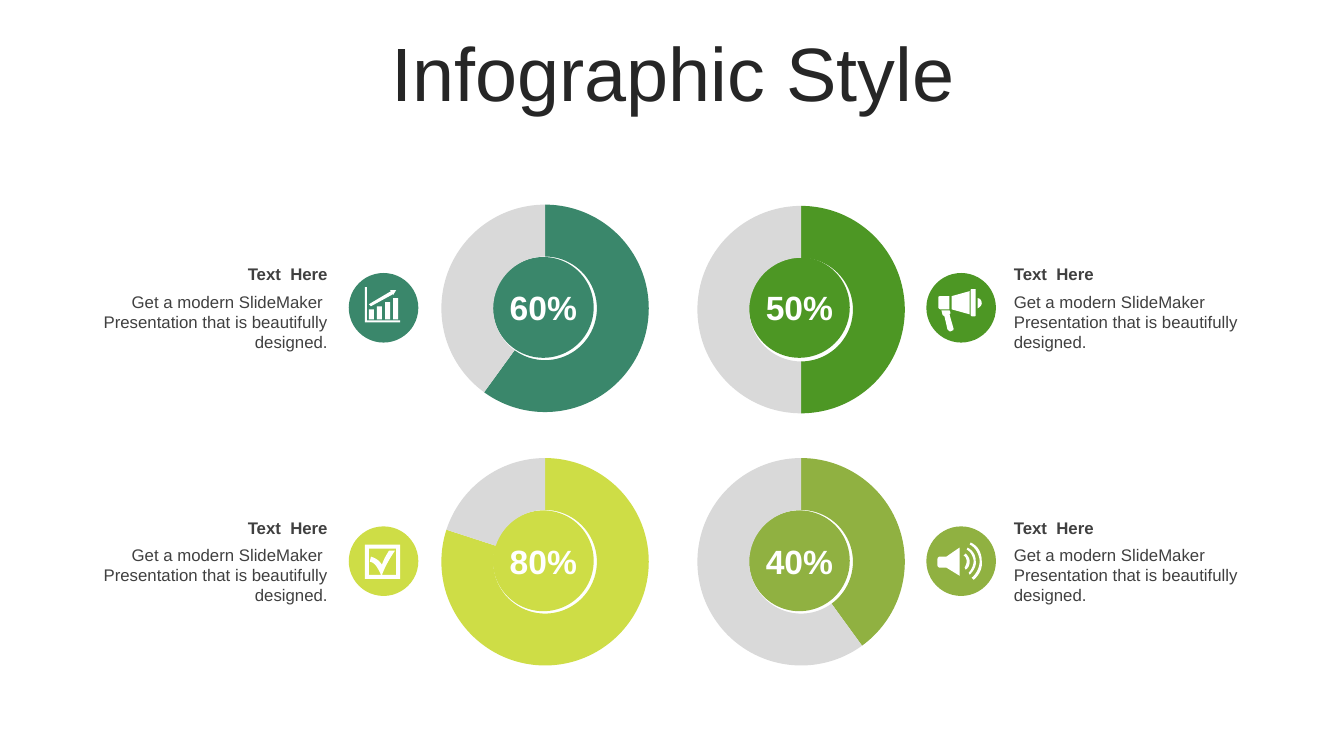
import pptx
import pptx.chart.data
import pptx.dml.color
import pptx.enum.chart
import pptx.enum.shapes
import pptx.enum.text
import pptx.oxml
import pptx.util

Pt = pptx.util.Pt
ALIGN = pptx.enum.text.PP_ALIGN
MIDDLE = pptx.enum.text.MSO_ANCHOR.MIDDLE
FONT, DARK, BODY, WHITE, GREY = "Arial", "262626", "404040", "FFFFFF", "D9D9D9"

TITLE = "Infographic Style"
HEADING = "Text  Here"
DESCRIPTION = "Get a modern SlideMaker  Presentation that is beautifully designed."


def box(left, top, right, bottom):
    return [(left, top), (right, top), (right, bottom), (left, bottom)]


# Icon outlines on a grid from the corner of the badge: pairs are corners,
# sixes are cubic curves (two control points and an end point).
GRID = 0.72
BAR_CHART = [
    *[box(20 + 8 * i, top, 25 + 8 * i, 46) for i, top in enumerate((36, 33, 29, 25))],
    [(41, 17), (47, 17), (44, 22), (44, 21), (22, 33), (20, 31), (42, 18)],
    [(16, 14), (18, 14), (18, 47), (51, 47), (51, 49), (16, 49)],
]
CHECK_BOX = [
    [(20, 22), (20, 48), (32, 48), (30, 44, 27, 36, 21, 35), (22, 30),
     (28, 32, 30, 34, 33, 38), (35, 32, 37, 29, 40, 24), (46, 24),
     (41, 31, 36, 40, 33, 48), (47, 48), (47, 22)],
    box(16, 18, 51, 52),
]
MEGAPHONE = [
    [(23, 37), (24, 39), (24, 40, 24, 40, 23, 41), (27, 55),
     (27, 56, 27, 57, 26, 57), (24, 58), (23, 58, 22, 57, 21, 56), (18, 43),
     (17, 42, 16, 42, 16, 41), (15, 37)],
    [(51, 25), (53, 25, 55, 27, 55, 30), (55, 32, 53, 34, 51, 35),
     (51, 31, 51, 28, 51, 25)],
    [(14, 23), (23, 23), (23, 36), (14, 36), (13, 36, 12, 35, 12, 34), (12, 24),
     (12, 23, 13, 23, 14, 23)],
    [(43, 18), (43, 41), (25, 36), (25, 23)],
    [(45, 16), (48, 16), (49, 16, 49, 16, 49, 17), (49, 42),
     (49, 42, 49, 43, 48, 43), (45, 43), (45, 43, 44, 42, 44, 42), (44, 17),
     (44, 16, 45, 16, 45, 16)],
]
SPEAKER = [
    [(39, 27), (41, 29, 43, 31, 43, 35), (43, 38, 42, 41, 39, 43), (38, 41),
     (39, 39, 40, 37, 40, 35), (40, 32, 39, 30, 37, 29)],
    [(41, 21), (46, 24, 49, 28, 49, 34), (50, 39, 47, 44, 43, 48), (42, 46),
     (45, 43, 47, 38, 47, 34), (46, 29, 44, 25, 40, 23)],
    [(33, 21), (33, 49), (20, 41), (14, 41), (12, 41, 11, 40, 11, 38), (11, 33),
     (11, 31, 12, 30, 14, 30), (20, 30)],
    [(44, 16), (51, 19, 55, 26, 55, 34), (56, 41, 53, 48, 47, 53), (45, 51),
     (50, 47, 53, 40, 53, 34), (52, 27, 49, 21, 43, 18)],
]

# row, column, percent, colour, icon, top of the plot within its chart
QUADRANTS = [
    (0, 0, 60, "3A876B", BAR_CHART, 0.019),
    (0, 1, 50, "4D9724", MEGAPHONE, 0.025),
    (1, 0, 80, "CEDD46", CHECK_BOX, 0.019),
    (1, 1, 40, "90B141", SPEAKER, 0.019),
]
# text left, text width, alignment, badge left
SIDES = [(63.4, 177.8, ALIGN.RIGHT, 249.1), (717.1, 180, ALIGN.LEFT, 661.7)]
ROW_PITCH, COLUMN_PITCH = 181, 182.9


def rgb(colour):
    return pptx.dml.color.RGBColor.from_string(colour)


def fill(shape, colour):
    shape.shadow.inherit = False
    shape.fill.solid()
    shape.fill.fore_color.rgb = rgb(colour)
    shape.line.fill.background()


def add_text(s, text, x, y, w, h, size=12, colour=BODY, bold=False,
             align=ALIGN.LEFT, anchor=MIDDLE, spacing=None):
    tf = s.shapes.add_textbox(Pt(x), Pt(y), Pt(w), Pt(h)).text_frame
    tf.word_wrap = True
    tf.vertical_anchor = anchor
    p = tf.paragraphs[0]
    p.alignment, p.line_spacing = align, spacing
    r = p.add_run()
    r.text = text
    r.font.name, r.font.size, r.font.bold = FONT, Pt(size), bold
    r.font.color.rgb = rgb(colour)


def add_circle(s, x, y, size, colour):
    oval = pptx.enum.shapes.MSO_SHAPE.OVAL
    fill(s.shapes.add_shape(oval, Pt(x), Pt(y), Pt(size), Pt(size)), colour)


def flatten(outline, steps=8):
    """Turn corners and cubic curves into a plain list of points."""
    points = []
    for part in outline:
        if len(part) == 2:
            points.append(part)
            continue
        (x0, y0), (x1, y1, x2, y2, x3, y3) = points[-1], part
        for t in (i / steps for i in range(1, steps + 1)):
            a, b, c, d = (1 - t) ** 3, 3 * t * (1 - t) ** 2, 3 * t * t * (1 - t), t ** 3
            points.append((a * x0 + b * x1 + c * x2 + d * x3,
                           a * y0 + b * y1 + c * y2 + d * y3))
    return points


def add_icon(s, outlines, x, y):
    builder = None
    for outline in outlines:
        points = [(Pt(x + GRID * u), Pt(y + GRID * v)) for u, v in flatten(outline)]
        if builder is None:
            builder = s.shapes.build_freeform(*points[0], scale=1.0)
        else:
            builder.move_to(*points[0])
        builder.add_line_segments(points[1:], close=True)
    fill(builder.convert_to_shape(), WHITE)


def add_doughnut(s, percent, colour, x, y, plot_top):
    data = pptx.chart.data.CategoryChartData()
    data.categories = ["1", "2"]
    data.add_series("Series 1", (percent, 100 - percent))
    kind = pptx.enum.chart.XL_CHART_TYPE.DOUGHNUT
    chart = s.shapes.add_chart(kind, Pt(x), Pt(y), Pt(162.7), Pt(153.4), data).chart
    chart.has_title = chart.has_legend = False
    chart.font.name, chart.font.size = FONT, Pt(18)
    chart.font.color.rgb = rgb("000000")
    plot = chart.plots[0]
    plot.vary_by_categories = True
    for i, shade in enumerate((colour, GREY)):
        point = plot.series[0].points[i].format
        point.fill.solid()
        point.fill.fore_color.rgb = rgb(shade)
        point.line.fill.background()
    area = chart.element.chart.plotArea
    area.xpath("c:doughnutChart/c:holeSize")[0].set("val", "75")
    for old in area.xpath("c:layout"):
        area.remove(old)
    settings = [("layoutTarget", "inner"), ("xMode", "edge"), ("yMode", "edge"),
                ("x", 0.046), ("y", plot_top), ("w", 0.924), ("h", 0.966)]
    inner = "".join(f'<c:{tag} val="{value}"/>' for tag, value in settings)
    area.insert(0, pptx.oxml.parse_xml(
        '<c:layout xmlns:c="http://schemas.openxmlformats.org/drawingml/2006/chart">'
        f"<c:manualLayout>{inner}</c:manualLayout></c:layout>"))


def add_quadrant(s, row, column, percent, colour, icon, plot_top):
    dx, dy = column * COLUMN_PITCH, row * ROW_PITCH
    text_x, text_w, align, badge_x = SIDES[column]
    add_circle(s, 352.1 + dx, 183.6 + dy, 72, colour)
    add_text(s, f"{percent}%", 351.4 + dx, 201.6 + dy, 73.4, 36, size=24,
             colour=WHITE, bold=True, align=ALIGN.CENTER)
    add_doughnut(s, percent, colour, 306.7 + dx, 143.3 + dy, plot_top)
    add_circle(s, badge_x, 195 + dy, 49.7, colour)
    add_icon(s, icon, badge_x, 195 + dy)
    add_text(s, HEADING, text_x, 185 + dy, text_w, 21.6, bold=True, align=align)
    add_text(s, DESCRIPTION, text_x, 204.6 + dy, text_w, 51, align=align,
             anchor=pptx.enum.text.MSO_ANCHOR.TOP)


def main():
    prs = pptx.Presentation()
    prs.slide_width, prs.slide_height = Pt(960), Pt(540)
    s = prs.slides.add_slide(prs.slide_layouts[6])
    add_text(s, TITLE, 25.2, 26.6, 911.5, 56.9, size=54, colour=DARK,
             align=ALIGN.CENTER, spacing=0.9)
    for quadrant in QUADRANTS:
        add_quadrant(s, *quadrant)
    prs.save("out.pptx")


if __name__ == "__main__":
    main()
